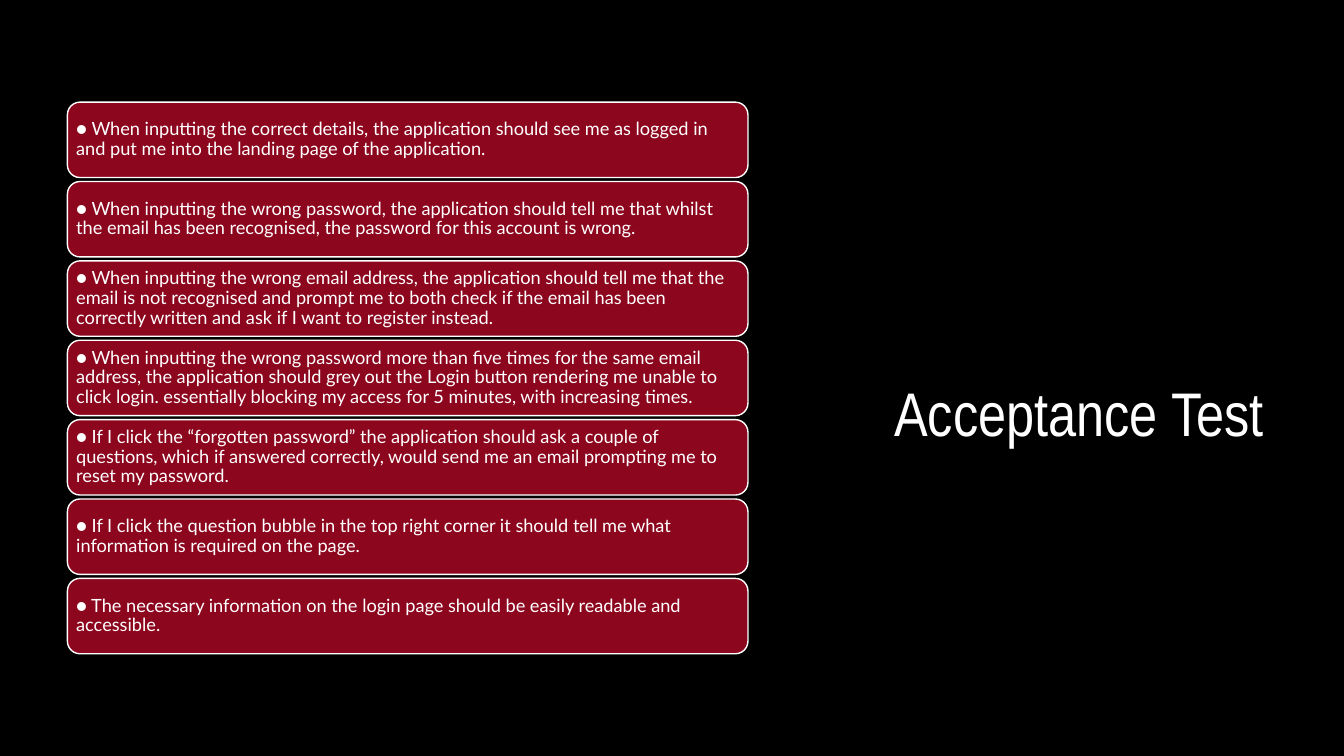
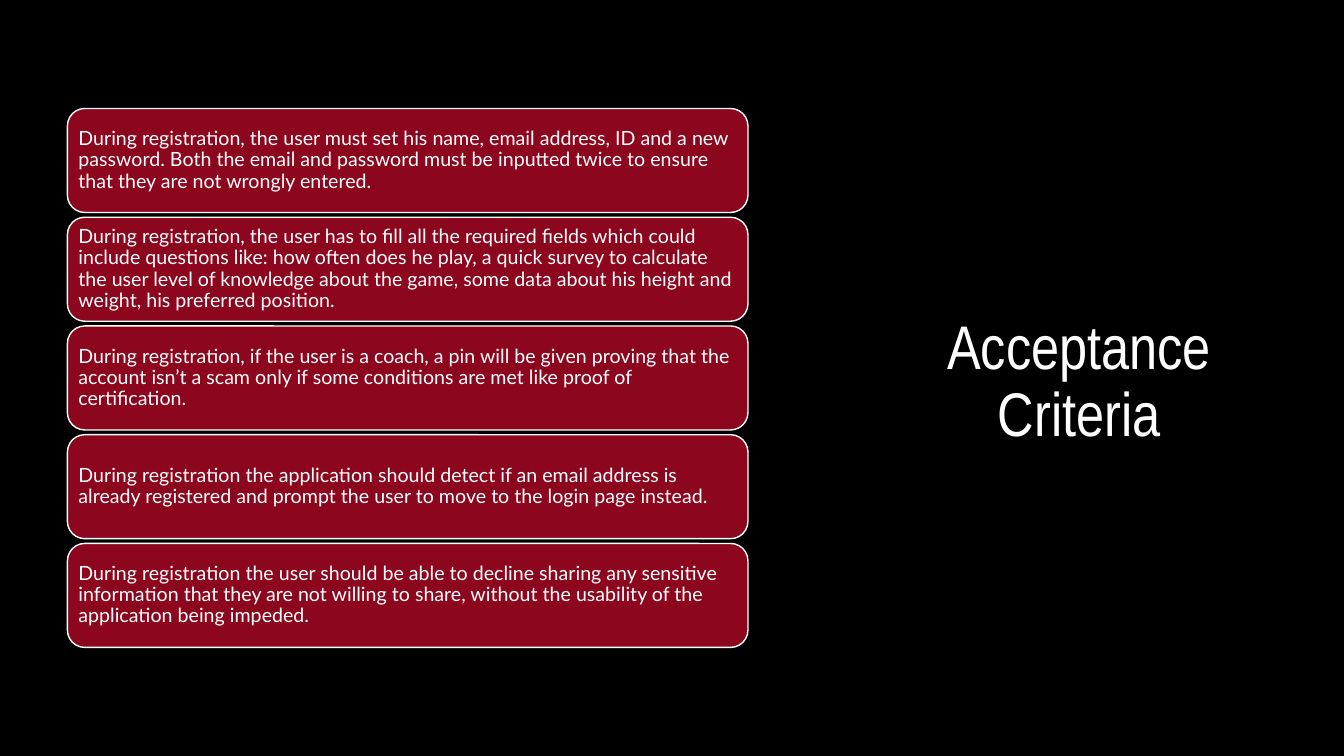
from pptx import Presentation
from pptx.dml.color import RGBColor
from pptx.enum.shapes import MSO_SHAPE as Shape
from pptx.enum.text import MSO_ANCHOR as Anchor, PP_ALIGN as Align
from pptx.util import Cm, Pt

BACKGROUND, CARD_FILL, LIGHT = "000000", "8C061E", "FFFFFF"
SLIDE_WIDTH, SLIDE_HEIGHT = 33.87, 19.05
TITLE_BOX = (22.12, 5.54, 10.16, 5.92)
CARDS_BOX = (1.7, 0, 17.15, SLIDE_HEIGHT)

TITLE_FONT = {"name": "Arial Narrow", "size": Pt(44)}
TEST_CARDS = {"height": 1.9, "gap": 0.1, "margin": 0.13, "size": 13}
CRITERIA_CARDS = {"height": 2.62, "gap": 0.12, "margin": 0.15, "size": 14}

TESTS = [
    "● When inputting the correct details, the application should see me as logged in "
    "and put me into the landing page of the application.",
    "● When inputting the wrong password, the application should tell me that whilst "
    "the email has been recognised, the password for this account is wrong.",
    "● When inputting the wrong email address, the application should tell me that the "
    "email is not recognised and prompt me to both check if the email has been "
    "correctly written and ask if I want to register instead.",
    "● When inputting the wrong password more than five times for the same email "
    "address, the application should grey out the Login button rendering me unable to "
    "click login. essentially blocking my access for 5 minutes, with increasing times.",
    "● If I click the “forgotten password” the application should ask a couple of "
    "questions, which if answered correctly, would send me an email prompting me to "
    "reset my password.",
    "● If I click the question bubble in the top right corner it should tell me what "
    "information is required on the page.",
    "● The necessary information on the login page should be easily readable and "
    "accessible.",
]
CRITERIA = [
    "During registration, the user must set his name, email address, ID and a new "
    "password. Both the email and password must be inputted twice to ensure "
    "that they are not wrongly entered.",
    "During registration, the user has to fill all the required fields which could "
    "include questions like: how often does he play, a quick survey to calculate "
    "the user level of knowledge about the game, some data about his height and "
    "weight, his preferred position.",
    "During registration, if the user is a coach, a pin will be given proving that the "
    "account isn’t a scam only if some conditions are met like proof of "
    "certification.",
    "During registration the application should detect if an email address is "
    "already registered and prompt the user to move to the login page instead.",
    "During registration the user should be able to decline sharing any sensitive "
    "information that they are not willing to share, without the usability of the "
    "application being impeded.",
]


def paint(color_format, color):
    color_format.rgb = RGBColor.from_string(color)


def fill_solid(fill, color):
    fill.solid()
    paint(fill.fore_color, color)


def set_attributes(target, values):
    for name, value in values.items():
        setattr(target, name, value)


def write_text(shape, text, font, alignment, frame_format):
    frame = shape.text_frame
    set_attributes(frame, {"word_wrap": True, **frame_format})
    paragraph = frame.paragraphs[0]
    set_attributes(paragraph, {"text": text, "alignment": alignment, "line_spacing": 0.9})
    set_attributes(paragraph.font, font)
    paint(paragraph.font.color, LIGHT)


def add_title(slide, box, text):
    shape = slide.shapes.add_textbox(*map(Cm, box))
    write_text(shape, text, TITLE_FONT, Align.CENTER, {"vertical_anchor": Anchor.BOTTOM})


def add_cards(slide, box, texts, style):
    """Stack equal cards, centred vertically in the box."""
    left, top, width, box_height = box
    height, gap = style["height"], style["gap"]
    stack_height = len(texts) * (height + gap) - gap
    first_top = top + (box_height - stack_height) / 2
    margins = {f"margin_{side}": Cm(style["margin"])
               for side in ("left", "top", "right", "bottom")}
    font = {"name": "Lato", "size": Pt(style["size"])}
    for index, text in enumerate(texts):
        card_top = first_top + index * (height + gap)
        card = slide.shapes.add_shape(
            Shape.ROUNDED_RECTANGLE, Cm(left), Cm(card_top), Cm(width), Cm(height))
        card.shadow.inherit = False
        fill_solid(card.fill, CARD_FILL)
        paint(card.line.color, LIGHT)
        card.line.width = Pt(1)
        write_text(card, text, font, Align.LEFT,
                   {"vertical_anchor": Anchor.MIDDLE, **margins})


def add_card_slide(presentation, title, texts, style):
    slide = presentation.slides.add_slide(presentation.slide_layouts[6])
    add_title(slide, TITLE_BOX, title)
    add_cards(slide, CARDS_BOX, texts, style)


def main():
    presentation = Presentation()
    presentation.slide_width = Cm(SLIDE_WIDTH)
    presentation.slide_height = Cm(SLIDE_HEIGHT)
    fill_solid(presentation.slide_master.background.fill, BACKGROUND)
    add_card_slide(presentation, "Acceptance Test", TESTS, TEST_CARDS)
    add_card_slide(presentation, "Acceptance Criteria", CRITERIA, CRITERIA_CARDS)
    presentation.save("out.pptx")


if __name__ == "__main__":
    main()
